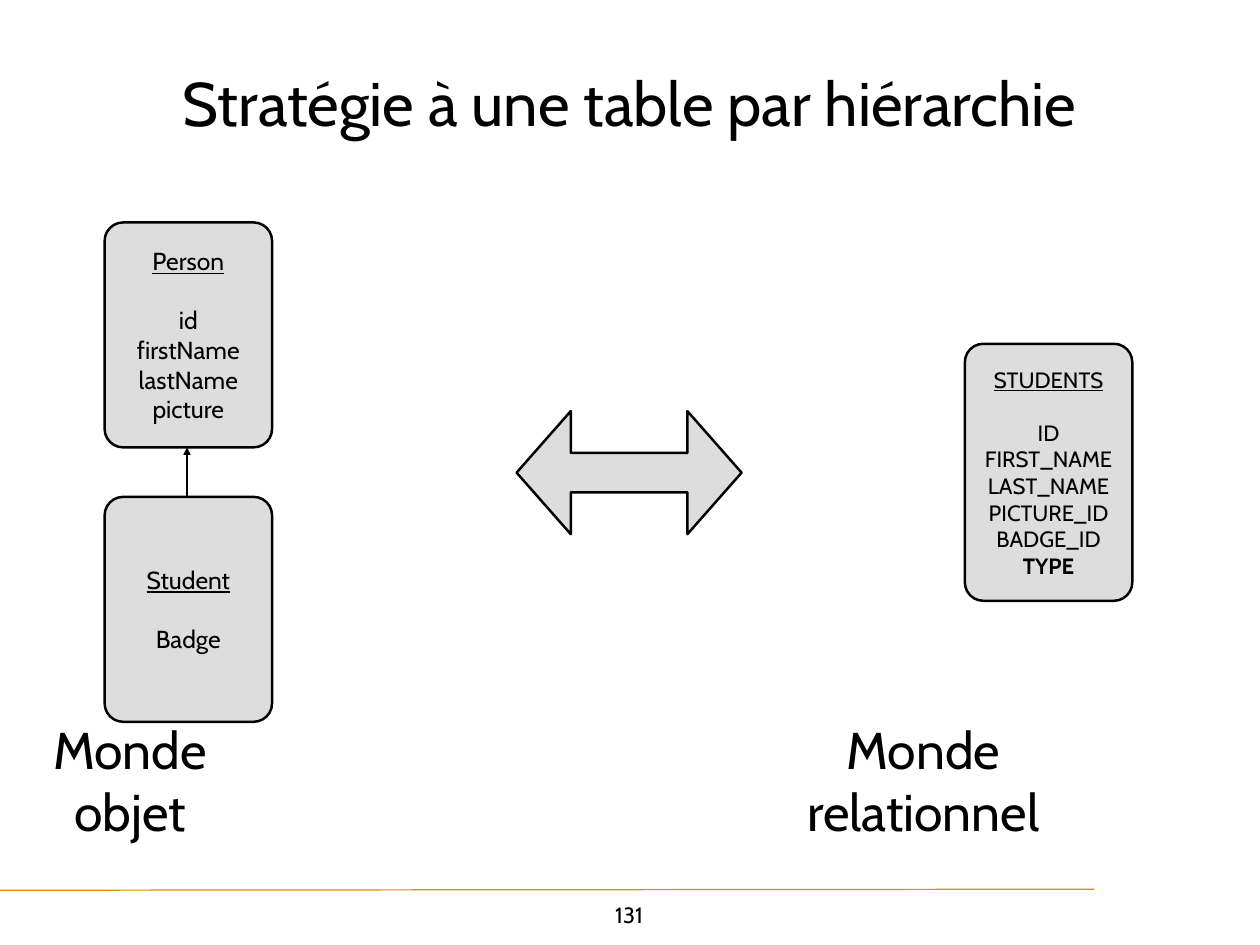
import pptx
import pptx.util
import pptx.dml.color
import pptx.enum.shapes
import pptx.enum.text
import pptx.oxml
import pptx.oxml.ns
import lxml.etree

Cm = pptx.util.Cm
Pt = pptx.util.Pt
SHAPES = pptx.enum.shapes.MSO_SHAPE

FONT = "Cabin"
BLACK, GREY, GOLD = "000000", "DDDDDD", "D79000"
TITLE = "Stratégie à une table par hiérarchie"
TITLE_AREA = (3.53, 0.71, 29.06, 4.42)
PAGE_NUMBER = "131"
NUMBER_AREA = (17.4, 25.7, 1.27, 1.02)

CARD_WIDTH, CLASS_HEIGHT, TABLE_HEIGHT = 4.8, 6.45, 7.37
CLASS_LEFT, PERSON_TOP, STUDENT_TOP = 3, 6.38, 14.25
CARDS = [
    ("Student", ["Badge"], CLASS_LEFT, STUDENT_TOP, CLASS_HEIGHT, 20),
    ("Person", ["id", "firstName", "lastName", "picture"],
     CLASS_LEFT, PERSON_TOP, CLASS_HEIGHT, 20),
    ("STUDENTS", ["ID", "FIRST_NAME", "LAST_NAME", "PICTURE_ID", "BADGE_ID", "TYPE"],
     27.66, 9.86, TABLE_HEIGHT, 18),
]
BOLD_FIELDS = {"TYPE"}
ARROW_AREA = (14.81, 11.79, 6.45, 3.53)
INHERITANCE_X = 5.36
WORLDS = [("Monde objet", 3.73, 5.4), ("Monde relationnel", 26.47, 7.6)]
WORLD_TOP, WORLD_HEIGHT = 20.55, 3.6


def color(value):
    return pptx.dml.color.RGBColor.from_string(value)


def write(frame, lines, size, heading=False, wrap=True, middle=True):
    frame.auto_size = pptx.enum.text.MSO_AUTO_SIZE.NONE
    frame.word_wrap = wrap
    anchors = pptx.enum.text.MSO_ANCHOR
    frame.vertical_anchor = anchors.MIDDLE if middle else anchors.TOP
    frame.margin_left = frame.margin_right = Cm(0.15)
    frame.margin_top = frame.margin_bottom = Cm(0.15)
    for index, text in enumerate(lines):
        para = frame.paragraphs[0] if index == 0 else frame.add_paragraph()
        para.alignment = pptx.enum.text.PP_ALIGN.CENTER
        span = para.add_run()
        span.text = text
        span.font.name = FONT
        span.font.size = Pt(size)
        span.font.color.rgb = color(BLACK)
        span.font.bold = text in BOLD_FIELDS
        if heading and index == 0:
            span.font.underline = True
            para.space_after = Pt(size * 1.2)


def add_label(page, text, area, size, **options):
    box = page.shapes.add_textbox(*map(Cm, area))
    write(box.text_frame, [text], size, **options)


def add_box(page, kind, area, adjustments):
    box = page.shapes.add_shape(kind, *map(Cm, area))
    for index, value in enumerate(adjustments):
        box.adjustments[index] = value
    box.shadow.inherit = False
    box.fill.solid()
    box.fill.fore_color.rgb = color(GREY)
    box.line.color.rgb = color(BLACK)
    box.line.width = Pt(2)
    return box


def add_line(page, start, end, stroke, width, arrow=False):
    line = page.shapes.add_connector(
        pptx.enum.shapes.MSO_CONNECTOR.STRAIGHT, *map(Cm, start + end))
    line.line.color.rgb = color(stroke)
    line.line.width = Pt(width)
    qn = pptx.oxml.ns.qn
    properties = line._element.spPr
    if arrow:
        lxml.etree.SubElement(properties.find(qn("a:ln")), qn("a:tailEnd"), type="triangle")
    lxml.etree.SubElement(properties, qn("a:effectLst"))


def main():
    deck = pptx.Presentation()
    deck.slide_width, deck.slide_height = Cm(36.12), Cm(27.1)
    page = deck.slides.add_slide(deck.slide_layouts[5])

    title = page.shapes.title
    title.left, title.top, title.width, title.height = map(Cm, TITLE_AREA)
    write(title.text_frame, [TITLE], 50)

    add_line(page, (0, 25.53), (31.37, 25.5), GOLD, 1)
    add_label(page, PAGE_NUMBER, NUMBER_AREA, 18, wrap=False, middle=False)

    for name, fields, left, top, height, size in CARDS:
        card = add_box(page, SHAPES.ROUNDED_RECTANGLE,
                       (left, top, CARD_WIDTH, height), [0.11])
        write(card.text_frame, [name] + fields, size, heading=True)

    add_box(page, SHAPES.LEFT_RIGHT_ARROW, ARROW_AREA, [0.32, 0.44])
    add_line(page, (INHERITANCE_X, STUDENT_TOP),
             (INHERITANCE_X, PERSON_TOP + CLASS_HEIGHT), BLACK, 2, arrow=True)

    for text, center, width in WORLDS:
        area = (center - width / 2, WORLD_TOP, width, WORLD_HEIGHT)
        add_label(page, text, area, 42)

    deck.save("out.pptx")


if __name__ == "__main__":
    main()
